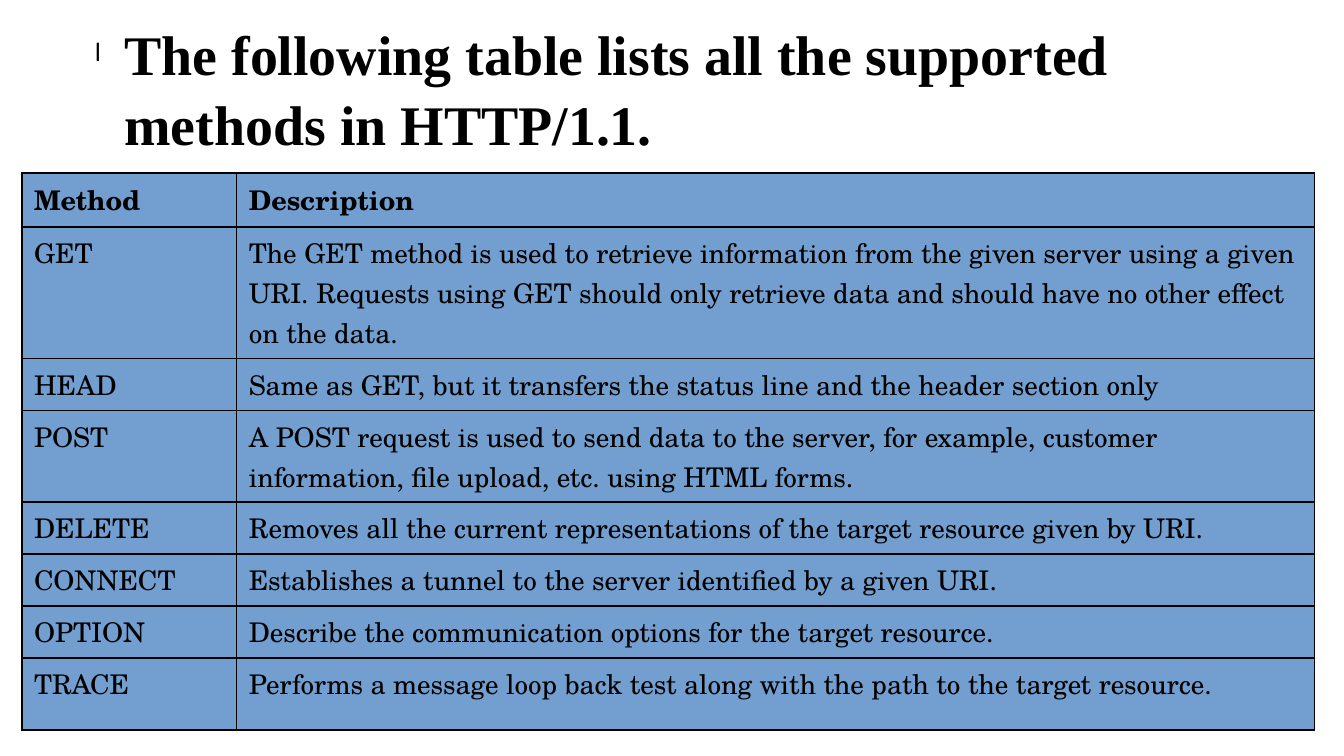
from typing import NamedTuple

from lxml import etree
from pptx import Presentation
from pptx.dml.color import RGBColor
from pptx.enum.text import MSO_ANCHOR, MSO_AUTO_SIZE, PP_ALIGN
from pptx.oxml.ns import qn
from pptx.util import Inches, Pt

LEFT = PP_ALIGN.LEFT
MIDDLE = MSO_ANCHOR.MIDDLE
NO_FIT = MSO_AUTO_SIZE.NONE
BLACK = RGBColor(0, 0, 0)
BLUE = RGBColor(0x72, 0x9F, 0xCF)
SERIF = "Times New Roman"
SCHOLA = "TeX Gyre Schola"
TITLE = "The following table lists all the supported methods in HTTP/1.1."
WIDTHS = (1.76, 8.84)


class Row(NamedTuple):
    method: str
    about: str
    height: float = 0.42
    bold: bool = False


ROWS = (
    Row("Method", "Description", 0.44, True),
    Row("GET", "The GET method is used to retrieve information from the given "
        "server using a given URI. Requests using GET should only retrieve data "
        "and should have no other effect on the data.", 1.08),
    Row("HEAD", "Same as GET, but it transfers the status line and the header section only"),
    Row("POST", "A POST request is used to send data to the server, for example, "
        "customer information, file upload, etc. using HTML forms.", 0.75),
    Row("DELETE", "Removes all the current representations of the target resource given by URI."),
    Row("CONNECT", "Establishes a tunnel to the server identified by a given URI."),
    Row("OPTION", "Describe the communication options for the target resource."),
    Row("TRACE", "Performs a message loop back test along with the path to the "
        "target resource.", 0.59),
)


def style(para, font: str, size: float, bold: bool) -> None:
    for run in para.runs:
        run.font.name = font
        run.font.size = Pt(size)
        run.font.bold = bold
        run.font.color.rgb = BLACK


def add_color(node, color: RGBColor) -> None:
    etree.SubElement(node, qn("a:srgbClr"), val=str(color))


def add_bullet(para, mark: str, scale: int) -> None:
    props = para._p.get_or_add_pPr()
    props.set("marL", str(Inches(0.47)))
    props.set("indent", str(Inches(-0.24)))
    add_color(etree.SubElement(props, qn("a:buClr")), BLACK)
    etree.SubElement(props, qn("a:buSzPct"), val=str(scale * 1000))
    etree.SubElement(props, qn("a:buFont"), typeface="Arial")
    etree.SubElement(props, qn("a:buChar"), char=mark)


def add_title(slide) -> None:
    title = slide.shapes.title
    title.left, title.top = Inches(0.55), Inches(0.2)
    title.width, title.height = Inches(8.86), Inches(1.02)
    frame = title.text_frame
    frame.text = TITLE
    frame.word_wrap = True
    frame.auto_size = NO_FIT
    frame.vertical_anchor = MIDDLE
    frame.margin_left = frame.margin_right = 0
    frame.margin_top = frame.margin_bottom = 0
    para = frame.paragraphs[0]
    para.alignment = LEFT
    para.line_spacing = 1.04
    style(para, SERIF, 33, True)
    add_bullet(para, "l", 45)


def add_edges(cell) -> None:
    props = cell._tc.get_or_add_tcPr()
    for side in ("lnL", "lnR", "lnT", "lnB"):
        line = etree.SubElement(props, qn(f"a:{side}"), w=str(Pt(1)))
        add_color(etree.SubElement(line, qn("a:solidFill")), BLACK)


def fill_cell(cell, text: str, bold: bool) -> None:
    cell.text_frame.text = text
    style(cell.text_frame.paragraphs[0], SCHOLA, 16, bold)
    add_edges(cell)
    cell.fill.solid()
    cell.fill.fore_color.rgb = BLUE


def add_grid(slide) -> None:
    high = sum(row.height for row in ROWS)
    frame = slide.shapes.add_table(
        len(ROWS), len(WIDTHS), Inches(0.18), Inches(1.42),
        Inches(sum(WIDTHS)), Inches(high))
    table = frame.table
    table.first_row = table.horz_banding = False
    for col, width in zip(table.columns, WIDTHS):
        col.width = Inches(width)
    for line, row in zip(table.rows, ROWS):
        line.height = Inches(row.height)
        for cell, text in zip(line.cells, (row.method, row.about)):
            fill_cell(cell, text, row.bold)


deck = Presentation()
deck.slide_width, deck.slide_height = Inches(11.02), Inches(6.2)
slide = deck.slides.add_slide(deck.slide_layouts[5])
add_title(slide)
add_grid(slide)
deck.save("out.pptx")
